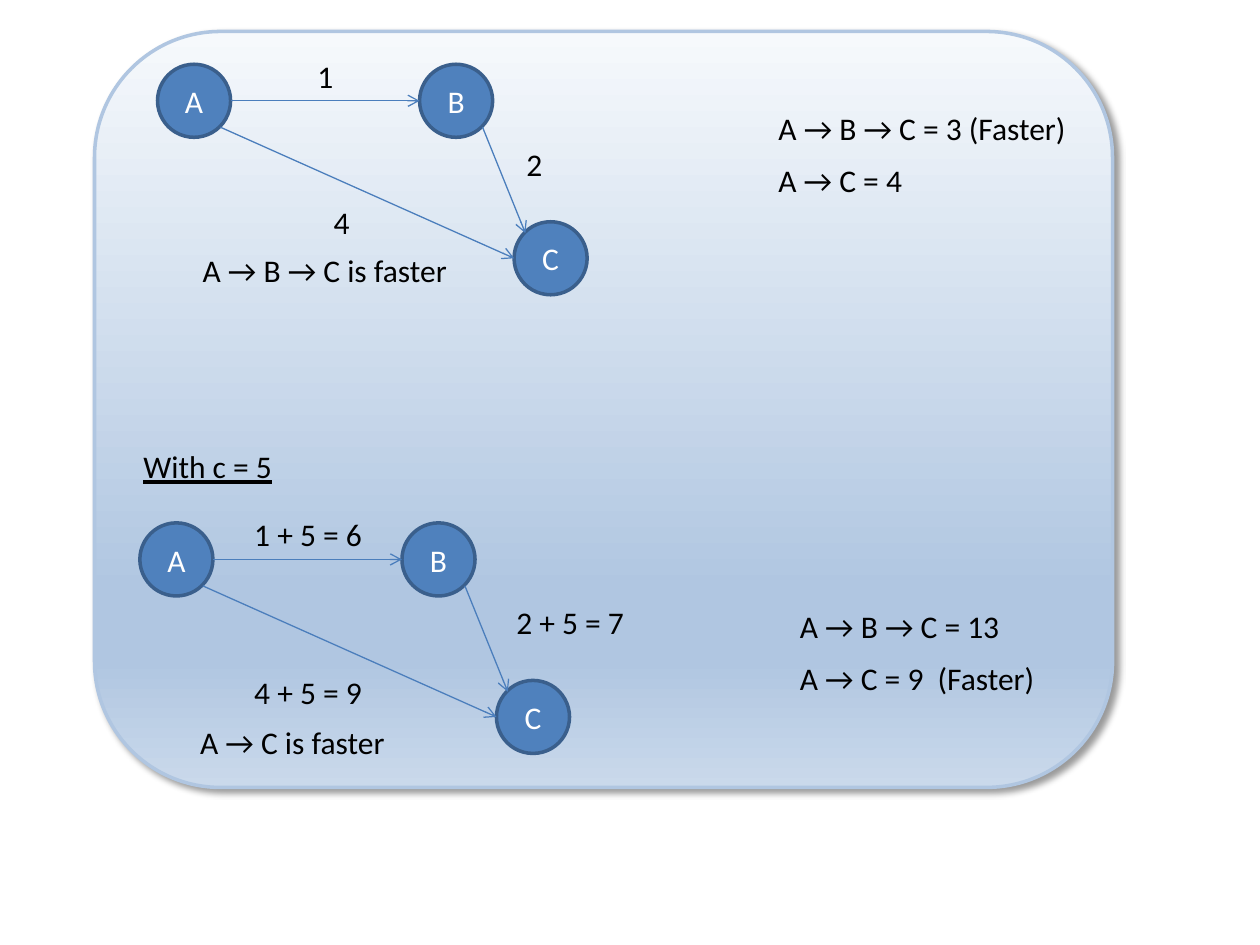
from lxml.etree import SubElement
from pptx import Presentation
from pptx.dml.color import RGBColor
from pptx.enum.shapes import MSO_CONNECTOR, MSO_SHAPE
from pptx.enum.text import MSO_ANCHOR, MSO_AUTO_SIZE, PP_ALIGN
from pptx.oxml.ns import qn
from pptx.util import Inches, Pt

NODE_SIZE = 0.58
PANEL_STOPS = [(0, "F6F9FC"), (74, "B0C6E1"), (83, "B0C6E1"), (100, "CAD9EB")]


def color(value):
    return RGBColor.from_string(value)


def add_rgb(parent, value):
    return SubElement(parent, qn("a:srgbClr"), val=value)


class GraphSlide:
    font = "Calibri"
    size = Pt(18)
    node_fill = "4F81BD"
    node_line = "3A5F8C"
    edge_line = "4B7EBC"
    panel_line = "B0C6E1"

    def __init__(self, page):
        self.page = page

    def add_text(self, frame, text, ink="000000", align=None, underline=None):
        para = frame.paragraphs[0]
        para.alignment = align
        span = para.add_run()
        span.text = text
        span.font.name = self.font
        span.font.size = self.size
        span.font.underline = underline
        span.font.color.rgb = color(ink)

    def outlined(self, preset, left, top, width, height, line):
        shape = self.page.shapes.add_shape(
            preset, Inches(left), Inches(top), Inches(width), Inches(height))
        shape.line.color.rgb = color(line)
        shape.line.width = Pt(2)
        shape.shadow.inherit = False
        return shape

    def panel(self, left, top, width, height):
        """Rounded panel with a vertical gradient and a soft shadow."""
        shape = self.outlined(MSO_SHAPE.ROUNDED_RECTANGLE,
                              left, top, width, height, self.panel_line)
        shape.fill.gradient()
        shape.fill.gradient_angle = 270
        properties = shape._element.spPr
        stops = properties.find(".//" + qn("a:gsLst"))
        for stop in list(stops):
            stops.remove(stop)
        for position, value in PANEL_STOPS:
            add_rgb(SubElement(stops, qn("a:gs"), pos=str(position * 1000)), value)
        shadow = SubElement(properties.find(qn("a:effectLst")), qn("a:outerShdw"),
                            blurRad=str(Pt(4)), dist=str(Pt(3)),
                            dir=str(45 * 60000), rotWithShape="0")
        SubElement(add_rgb(shadow, "000000"), qn("a:alpha"), val="40000")

    def node(self, name, left, top):
        shape = self.outlined(MSO_SHAPE.OVAL, left, top, NODE_SIZE, NODE_SIZE,
                              self.node_line)
        shape.fill.solid()
        shape.fill.fore_color.rgb = color(self.node_fill)
        shape.text_frame.vertical_anchor = MSO_ANCHOR.MIDDLE
        self.add_text(shape.text_frame, name, "FFFFFF", PP_ALIGN.CENTER)

    def edge(self, x1, y1, x2, y2):
        arrow = self.page.shapes.add_connector(
            MSO_CONNECTOR.STRAIGHT, Inches(x1), Inches(y1), Inches(x2), Inches(y2))
        arrow.line.color.rgb = color(self.edge_line)
        arrow.line.width = Pt(0.75)
        properties = arrow._element.spPr
        SubElement(properties.find(qn("a:ln")), qn("a:tailEnd"), type="arrow")
        SubElement(properties, qn("a:effectLst"))

    def label(self, text, left, top, width, wrap=True, **style):
        box = self.page.shapes.add_textbox(
            Inches(left), Inches(top), Inches(width), Inches(0.4))
        box.text_frame.word_wrap = wrap
        box.text_frame.auto_size = MSO_AUTO_SIZE.SHAPE_TO_FIT_TEXT
        self.add_text(box.text_frame, text, **style)

    def graph(self, left, top):
        """Nodes A, B and C with their three edges, placed from A's corner."""
        for name, dx, dy in [("A", 0, 0), ("B", 2.08, 0), ("C", 2.83, 1.25)]:
            self.node(name, left + dx, top + dy)
        for x1, y1, x2, y2 in [(0.5, 0.5, 2.83, 1.54),
                               (2.58, 0.5, 2.92, 1.34),
                               (NODE_SIZE, 0.29, 2.08, 0.29)]:
            self.edge(left + x1, top + y1, left + x2, top + y2)


def main():
    deck = Presentation()
    deck.slide_width, deck.slide_height = Inches(10), Inches(7.5)
    slide = GraphSlide(deck.slides.add_slide(deck.slide_layouts[6]))
    slide.panel(0.75, 0.25, 8.08, 6)

    slide.graph(1.25, 0.51)
    for weight, left, top in [("1", 2.42, 0.4), ("2", 4.08, 1.1), ("4", 2.55, 1.56)]:
        slide.label(weight, left, top, 0.33)

    slide.graph(1.11, 4.15)
    for weight, left, top in [("1 + 5 = 6 ", 1.9, 4.04),
                              ("2 + 5 = 7 ", 3.98, 4.74),
                              ("4 + 5 = 9", 1.9, 5.29)]:
        slide.label(weight, left, top, 1.09, align=PP_ALIGN.CENTER)

    slide.label("A → B → C = 3 (Faster)", 6.08, 0.82, 3.08)
    slide.label("A → C = 4", 6.08, 1.23, 1.2, wrap=False)
    slide.label("A → B → C = 13", 6.25, 4.77, 3.08)
    slide.label("A → C = 9  (Faster)", 6.25, 5.18, 2.09, wrap=False)
    slide.label("A → C is faster", 1.49, 5.69, 1.88)
    slide.label("A → B → C is faster", 1.51, 1.94, 2.22)
    slide.label("With c = 5", 1.04, 3.5, 2.83, underline=True)
    deck.save("out.pptx")


if __name__ == "__main__":
    main()
